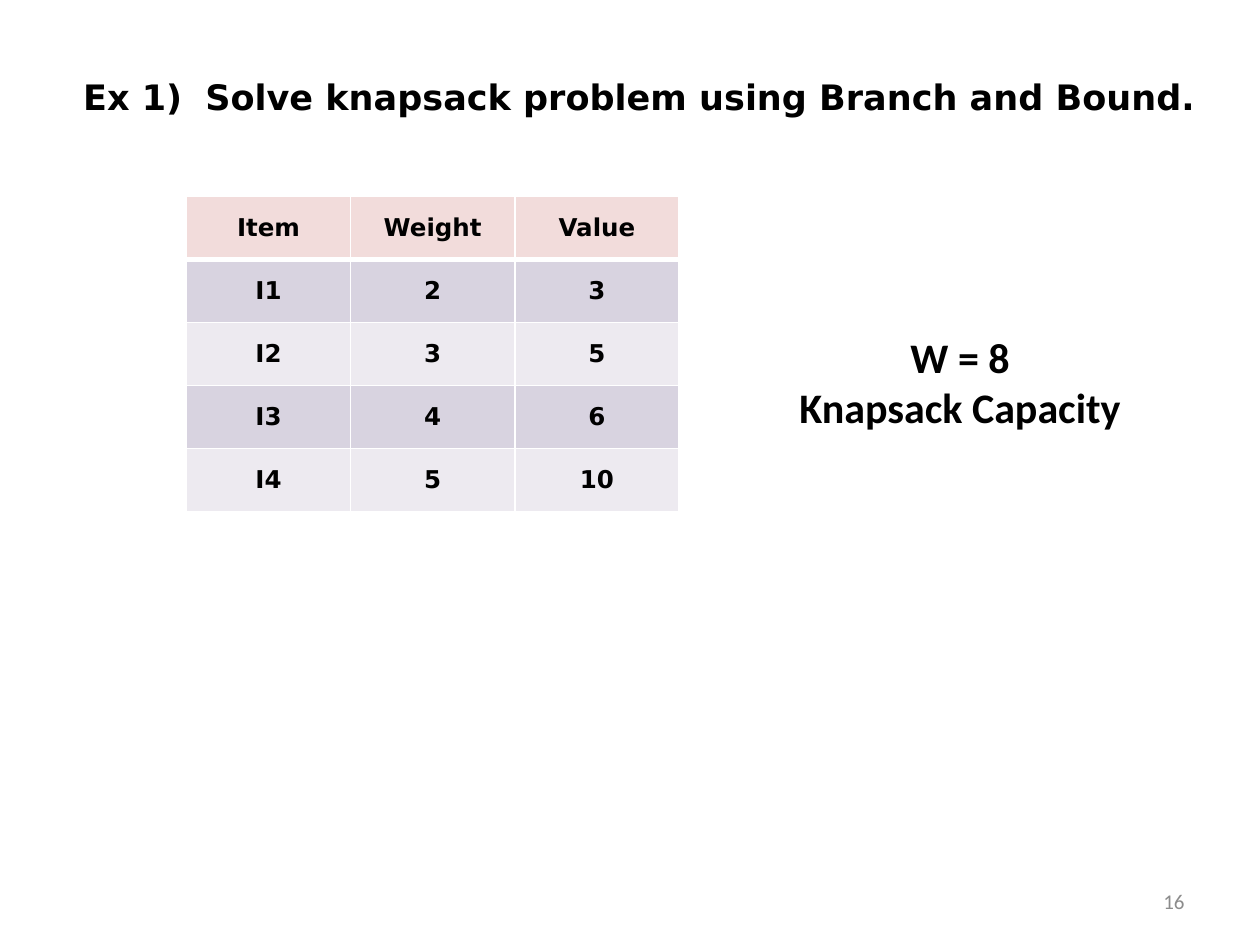
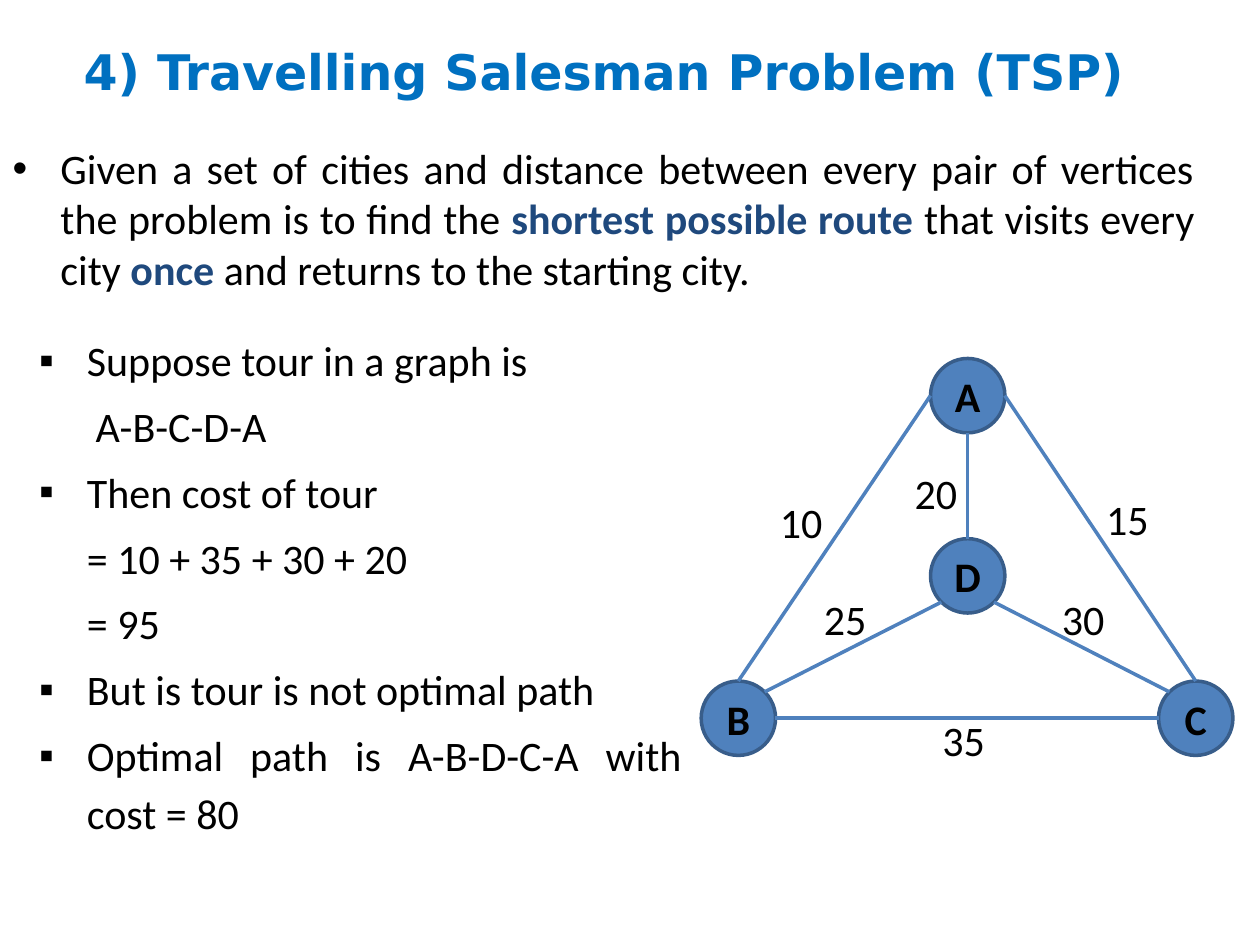
"""Build two slides: a knapsack example and the travelling salesman problem."""
import math
from typing import NamedTuple

from lxml import etree
from pptx import Presentation
from pptx import util as u
from pptx.dml.color import RGBColor
from pptx.enum import shapes, text
from pptx.oxml import ns

HEADING_FONT, BODY_FONT = "DejaVu Sans", "Calibri"
BLACK, WHITE, GREY = "000000", "FFFFFF", "8C8C8C"
TITLE_BLUE, EMPHASIS = "0070C0", "1F497D"
NODE_FILL, NODE_LINE = "4F81BD", "385D8A"
HEADER_FILL, BAND_FILLS = "F2DCDB", ("D8D3E0", "EDEAF0")
LEFT, CENTER, RIGHT, JUSTIFY = (
    text.PP_ALIGN.LEFT, text.PP_ALIGN.CENTER, text.PP_ALIGN.RIGHT, text.PP_ALIGN.JUSTIFY)
MIDDLE, TOP = text.MSO_ANCHOR.MIDDLE, text.MSO_ANCHOR.TOP
NODE_SIZE = 0.59
HANGING = 0.38


class Style(NamedTuple):
    size: float = 24
    font: str = BODY_FONT
    color: str = BLACK
    bold: bool = False


class Box(NamedTuple):
    left: float
    top: float
    width: float
    height: float


class Item(NamedTuple):
    runs: list[tuple[str, Style]]
    bullet: str = ""
    margin: float = HANGING


class Node(NamedTuple):
    x: float
    y: float


class Edge(NamedTuple):
    start: str
    start_angle: float
    end: str
    end_angle: float
    cost: str
    label_left: float
    label_top: float


PLAIN = Style()
BOLD = Style(bold=True)
STRONG = Style(color=EMPHASIS, bold=True)
EXAMPLE_TITLE = Style(20, HEADING_FONT, bold=True)
TOPIC_TITLE = Style(28, HEADING_FONT, TITLE_BLUE, True)
CELL = Style(14, HEADING_FONT, bold=True)
PAGE_NUMBER = Style(12, color=GREY)

ITEMS = [
    ("Item", "Weight", "Value"),
    ("I1", "2", "3"),
    ("I2", "3", "5"),
    ("I3", "4", "6"),
    ("I4", "5", "10"),
]

PROBLEM = [Item([
    ("Given a set of cities and distance between every pair of vertices the problem is to find the ", PLAIN),
    ("shortest possible route ", STRONG),
    ("that visits every city ", PLAIN),
    ("once", STRONG),
    (" and returns to the starting city.", PLAIN),
], "•")]

TOUR = [
    Item([("Suppose tour in a graph is", PLAIN)], "▪"),
    Item([("A-B-C-D-A", PLAIN)], margin=0.45),
    Item([("Then cost of tour", PLAIN)], "▪"),
    Item([("= 10 + 35 + 30 + 20", PLAIN)]),
    Item([("= 95", PLAIN)]),
    Item([("But is tour is not optimal path", PLAIN)], "▪"),
    Item([("Optimal path is A-B-D-C-A with cost = 80", PLAIN)], "▪"),
]

NODES = {
    "A": Node(7.68, 3.14),
    "B": Node(5.86, 5.7),
    "C": Node(9.49, 5.7),
    "D": Node(7.68, 4.57),
}

EDGES = [
    Edge("A", 180, "B", 270, "10", 6.09, 3.89),
    Edge("B", 0, "C", 180, "35", 7.38, 5.62),
    Edge("B", 315, "D", 135, "25", 6.44, 4.66),
    Edge("C", 225, "D", 45, "30", 8.33, 4.66),
    Edge("C", 270, "A", 0, "15", 8.68, 3.87),
    Edge("D", 270, "A", 90, "20", 7.16, 3.66),
]


def rgb(color: str) -> RGBColor:
    """Turn a hex string into a colour."""
    return RGBColor.from_string(color)


def inches(box: Box) -> list[u.Length]:
    """Convert a box to lengths."""
    return [u.Inches(value) for value in box]


def add_run(paragraph, words: str, style: Style) -> None:
    """Append one formatted run."""
    run = paragraph.add_run()
    run.text = words
    run.font.name, run.font.size, run.font.bold = style.font, u.Pt(style.size), style.bold
    run.font.color.rgb = rgb(style.color)


def add_line(frame, first: bool, words: str, style: Style, align):
    """Write one aligned paragraph into a frame."""
    paragraph = frame.paragraphs[0] if first else frame.add_paragraph()
    paragraph.alignment = align
    add_run(paragraph, words, style)
    return paragraph


def add_label(slide, box: Box, lines: list[str], style: Style, align=LEFT, anchor=TOP) -> None:
    """Add a text box with one paragraph for each line."""
    frame = slide.shapes.add_textbox(*inches(box)).text_frame
    frame.word_wrap, frame.vertical_anchor = True, anchor
    for index, words in enumerate(lines):
        add_line(frame, index == 0, words, style, align)


def place(shape, box: Box, anchor):
    """Move a placeholder and return its prepared frame."""
    shape.left, shape.top, shape.width, shape.height = inches(box)
    frame = shape.text_frame
    frame.auto_size, frame.word_wrap = text.MSO_AUTO_SIZE.NONE, True
    frame.vertical_anchor = anchor
    return frame


def set_title(slide, box: Box, words: str, style: Style, align, anchor):
    """Fill the title placeholder and return its frame."""
    frame = place(slide.shapes.title, box, anchor)
    add_line(frame, True, words, style, align)
    return frame


def fill_list(shape, box: Box, items: list[Item], line_spacing: float) -> None:
    """Fill a body placeholder with justified list items."""
    frame = place(shape, box, TOP)
    for index, item in enumerate(items):
        paragraph = frame.add_paragraph() if index else frame.paragraphs[0]
        properties = paragraph._p.get_or_add_pPr()
        properties.set("marL", str(u.Inches(item.margin)))
        properties.set("indent", str(-u.Inches(HANGING) if item.bullet else 0))
        if item.bullet:
            etree.SubElement(properties, ns.qn("a:buChar")).set("char", item.bullet)
        else:
            etree.SubElement(properties, ns.qn("a:buNone"))
        paragraph.alignment = JUSTIFY
        paragraph.line_spacing = line_spacing
        paragraph.space_before = u.Pt(4.8 if index else 0)
        for words, style in item.runs:
            add_run(paragraph, words, style)


def set_borders(cell, color: str, header: bool) -> None:
    """Draw the four borders of a cell, heavier under the header."""
    properties = cell._tc.get_or_add_tcPr()
    for side in "LRTB":
        width = 3 if header and side == "B" else 1
        line = etree.SubElement(properties, ns.qn(f"a:ln{side}"), w=str(u.Pt(width)))
        fill = etree.SubElement(line, ns.qn("a:solidFill"))
        etree.SubElement(fill, ns.qn("a:srgbClr"), val=color)


def add_items_table(slide, box: Box) -> None:
    """Add the table of item weights and values."""
    table = slide.shapes.add_table(len(ITEMS), len(ITEMS[0]), *inches(box)).table
    for row, values in enumerate(ITEMS):
        for column, value in enumerate(values):
            cell = table.cell(row, column)
            set_borders(cell, WHITE, row == 0)
            cell.fill.solid()
            cell.fill.fore_color.rgb = rgb(BAND_FILLS[(row - 1) % 2] if row else HEADER_FILL)
            cell.vertical_anchor = MIDDLE
            add_line(cell.text_frame, True, value, CELL, CENTER)


def add_node(slide, name: str, node: Node) -> None:
    """Draw one city as a named circle."""
    half = NODE_SIZE / 2
    box = Box(node.x - half, node.y - half, NODE_SIZE, NODE_SIZE)
    shape = slide.shapes.add_shape(shapes.MSO_SHAPE.OVAL, *inches(box))
    shape.shadow.inherit = False
    shape.fill.solid()
    shape.fill.fore_color.rgb = rgb(NODE_FILL)
    shape.line.color.rgb, shape.line.width = rgb(NODE_LINE), u.Pt(2)
    frame = shape.text_frame
    frame.margin_left = frame.margin_right = 0
    frame.vertical_anchor = MIDDLE
    add_line(frame, True, name, BOLD, CENTER)


def rim_point(name: str, angle: float) -> tuple[u.Length, u.Length]:
    """Find the point on a node's rim at a clockwise angle from the right."""
    node, turn = NODES[name], math.radians(angle)
    return (u.Inches(node.x + NODE_SIZE / 2 * math.cos(turn)),
            u.Inches(node.y + NODE_SIZE / 2 * math.sin(turn)))


def add_edge(slide, edge: Edge) -> None:
    """Draw one road and its cost."""
    connector = slide.shapes.add_connector(
        shapes.MSO_CONNECTOR.STRAIGHT,
        *rim_point(edge.start, edge.start_angle), *rim_point(edge.end, edge.end_angle))
    connector.line.color.rgb, connector.line.width = rgb(NODE_FILL), u.Pt(2)
    etree.SubElement(connector._element.spPr, ns.qn("a:effectLst"))
    add_label(slide, Box(edge.label_left, edge.label_top, 0.59, 0.51), [edge.cost], PLAIN)


def build_knapsack(presentation) -> None:
    """Build the knapsack example slide."""
    slide = presentation.slides.add_slide(presentation.slide_layouts[5])
    frame = set_title(slide, Box(0.1, 0.55, 9.58, 0.78),
                      "Ex 1)\tSolve knapsack problem using Branch and Bound.",
                      EXAMPLE_TITLE, LEFT, TOP)
    frame.margin_left = u.Inches(0.56)
    tabs = etree.SubElement(frame.paragraphs[0]._p.get_or_add_pPr(), ns.qn("a:tabLst"))
    etree.SubElement(tabs, ns.qn("a:tab"), pos=str(u.Inches(0.97)), algn="l")
    add_items_table(slide, Box(1.48, 1.56, 3.91, 2.5))
    add_label(slide, Box(5.94, 2.58, 3.36, 0.91), ["W = 8", "Knapsack Capacity"], BOLD, CENTER)
    add_label(slide, Box(7.17, 6.95, 2.33, 0.4), ["16"], PAGE_NUMBER, RIGHT, MIDDLE)


def build_salesman(presentation) -> None:
    """Build the travelling salesman slide."""
    slide = presentation.slides.add_slide(presentation.slide_layouts[3])
    set_title(slide, Box(0, 0.12, 9.58, 0.88), "4) Travelling Salesman Problem (TSP)",
              TOPIC_TITLE, CENTER, MIDDLE)
    fill_list(slide.placeholders[1], Box(0, 1.08, 9.58, 1.53), PROBLEM, 1.0)
    fill_list(slide.placeholders[2], Box(0.21, 2.55, 5.3, 4.07), TOUR, 1.14)
    for name, node in NODES.items():
        add_node(slide, name, node)
    for edge in EDGES:
        add_edge(slide, edge)


def main() -> None:
    """Build and save the presentation."""
    presentation = Presentation()
    presentation.slide_width, presentation.slide_height = u.Inches(10), u.Inches(7.5)
    build_knapsack(presentation)
    build_salesman(presentation)
    presentation.save("out.pptx")


if __name__ == "__main__":
    main()
